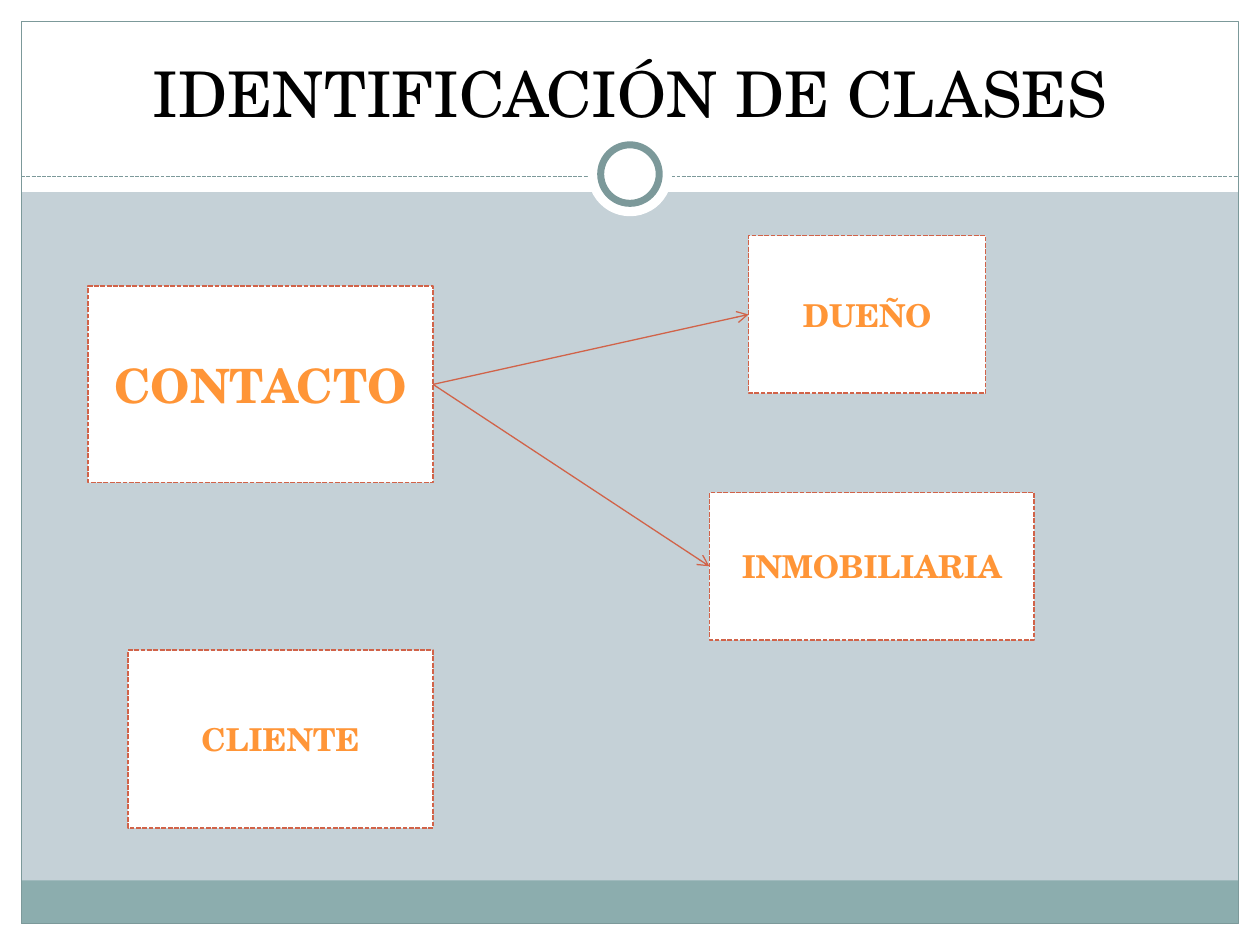
"""Build a slide that identifies the classes of a contact model."""
from dataclasses import dataclass
from typing import Optional

from lxml import etree
from pptx import Presentation
from pptx.dml.color import RGBColor
from pptx.enum.dml import MSO_LINE
from pptx.enum.shapes import MSO_CONNECTOR, MSO_SHAPE
from pptx.enum.text import MSO_ANCHOR, PP_ALIGN
from pptx.oxml.ns import qn
from pptx.shapes.autoshape import Shape
from pptx.shapes.connector import Connector
from pptx.slide import Slide
from pptx.text.text import TextFrame
from pptx.util import Cm, Pt

RECT, OVAL = MSO_SHAPE.RECTANGLE, MSO_SHAPE.OVAL
STRAIGHT = MSO_CONNECTOR.STRAIGHT
DASH = MSO_LINE.SQUARE_DOT
CENTER = PP_ALIGN.CENTER
MIDDLE, BOTTOM = MSO_ANCHOR.MIDDLE, MSO_ANCHOR.BOTTOM
LEFT_SITE, RIGHT_SITE = 1, 3
WIDTH, HEIGHT, EDGE = 25.4, 19.05, 0.43


@dataclass(frozen=True)
class Theme:
    font: str = "TeX Gyre Schola"
    back: str = "C5D1D7"
    white: str = "FFFFFF"
    black: str = "000000"
    band: str = "8CADAE"
    frame: str = "7C999A"
    accent: str = "D16349"
    label: str = "FF9537"
    title: float = 36
    large: float = 27
    small: float = 18
    thin: float = 0.75
    border: float = 0.9
    ring: float = 4


@dataclass(frozen=True)
class Form:
    x: float
    y: float
    w: float
    h: float
    fill: Optional[str] = None
    line: Optional[str] = None
    weight: float = 0.75
    kind: MSO_SHAPE = RECT


@dataclass(frozen=True)
class Node:
    name: str
    x: float
    y: float
    w: float
    h: float
    size: float


THEME = Theme()
FORMS = [
    Form(0, HEIGHT - EDGE, WIDTH, EDGE, THEME.white),
    Form(0, 0, WIDTH, 3.87, THEME.white),
    Form(0, 0, EDGE, HEIGHT, THEME.white),
    Form(WIDTH - EDGE, 0, EDGE, HEIGHT, THEME.white),
    Form(EDGE, 17.75, WIDTH - 2 * EDGE, 0.87, THEME.band),
    Form(EDGE, EDGE, WIDTH - 2 * EDGE, HEIGHT - 2 * EDGE, None, THEME.frame),
]
RINGS = [
    Form(11.85, 2.66, 1.7, 1.7, THEME.white, kind=OVAL),
    Form(12.11, 2.92, 1.18, 1.18, THEME.white, THEME.frame, THEME.ring, OVAL),
]
NODES = [
    Node("CONTACTO", 1.78, 5.77, 6.95, 3.96, THEME.large),
    Node("DUEÑO", 15.09, 4.75, 4.78, 3.18, THEME.small),
    Node("INMOBILIARIA", 14.3, 9.93, 6.55, 2.97, THEME.small),
    Node("CLIENTE", 2.58, 13.11, 6.15, 3.58, THEME.small),
]
LINKS = [("CONTACTO", "DUEÑO"), ("CONTACTO", "INMOBILIARIA")]


def rgb(color: str) -> RGBColor:
    return RGBColor.from_string(color)


def draw_form(slide: Slide, form: Form) -> Shape:
    shape = slide.shapes.add_shape(
        form.kind, Cm(form.x), Cm(form.y), Cm(form.w), Cm(form.h))
    shape.shadow.inherit = False
    if form.fill:
        shape.fill.solid()
        shape.fill.fore_color.rgb = rgb(form.fill)
    else:
        shape.fill.background()
    if form.line:
        shape.line.color.rgb = rgb(form.line)
        shape.line.width = Pt(form.weight)
    else:
        shape.line.fill.background()
    return shape


def write(frame: TextFrame, text: str, size: float, color: str,
          bold: bool, anchor: MSO_ANCHOR) -> None:
    frame.word_wrap = True
    frame.vertical_anchor = anchor
    para = frame.paragraphs[0]
    para.text = text
    para.alignment = CENTER
    font = para.font
    font.name, font.size, font.bold = THEME.font, Pt(size), bold
    font.color.rgb = rgb(color)


def draw_node(slide: Slide, node: Node) -> Shape:
    form = Form(node.x, node.y, node.w, node.h,
                THEME.white, THEME.accent, THEME.border)
    shape = draw_form(slide, form)
    shape.line.dash_style = DASH
    write(shape.text_frame, node.name, node.size, THEME.label, True, MIDDLE)
    return shape


def draw_line(slide: Slide, start: tuple[float, float],
              end: tuple[float, float], color: str) -> Connector:
    line = slide.shapes.add_connector(
        STRAIGHT, *(Cm(value) for value in start + end))
    line.line.color.rgb = rgb(color)
    line.line.width = Pt(THEME.thin)
    etree.SubElement(line._element.spPr, qn("a:effectLst"))
    return line


def draw_link(slide: Slide, source: Shape, target: Shape) -> None:
    line = draw_line(slide, (0, 0), (1, 1), THEME.accent)
    line.begin_connect(source, RIGHT_SITE)
    line.end_connect(target, LEFT_SITE)
    stroke = line.line._get_or_add_ln()
    etree.SubElement(stroke, qn("a:tailEnd"), type="arrow")


def main() -> None:
    deck = Presentation()
    deck.slide_width, deck.slide_height = Cm(WIDTH), Cm(HEIGHT)
    slide = deck.slides.add_slide(deck.slide_layouts[6])
    slide.background.fill.solid()
    slide.background.fill.fore_color.rgb = rgb(THEME.back)
    for form in FORMS:
        draw_form(slide, form)
    rule = draw_line(slide, (EDGE, 3.56), (WIDTH - EDGE, 3.56), THEME.frame)
    rule.line.dash_style = DASH
    for ring in RINGS:
        draw_form(slide, ring)
    title = slide.shapes.add_textbox(Cm(0.85), Cm(0.64), Cm(23.7), Cm(2.1))
    write(title.text_frame, "IDENTIFICACIÓN DE CLASES", THEME.title,
          THEME.black, False, BOTTOM)
    boxes = {node.name: draw_node(slide, node) for node in NODES}
    for source, target in LINKS:
        draw_link(slide, boxes[source], boxes[target])
    deck.save("out.pptx")


main()
